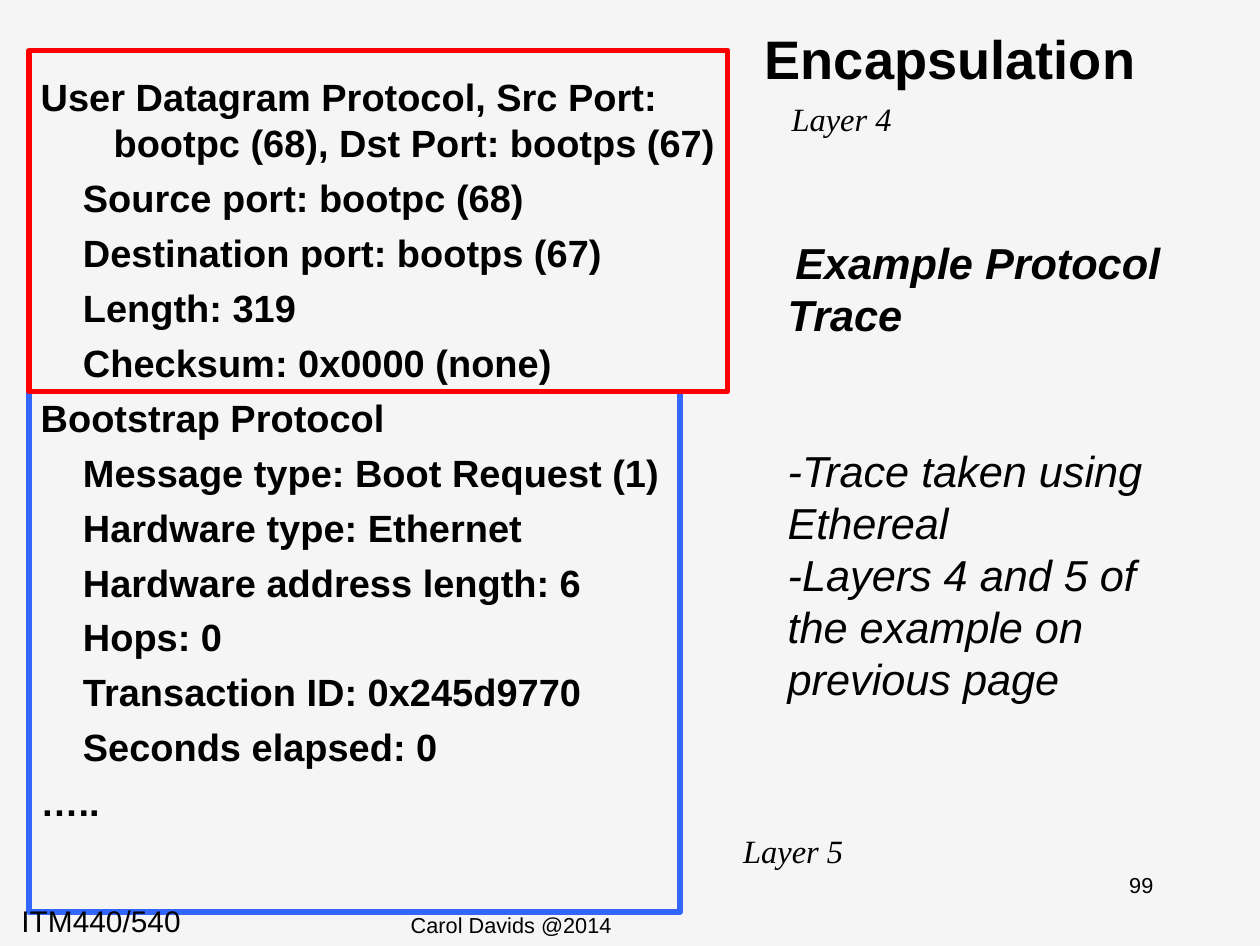
"""Build the Encapsulation slide with its UDP and bootstrap trace."""
from pptx import Presentation
from pptx.dml.color import RGBColor as RGB
from pptx.enum.shapes import MSO_SHAPE as Shape
from pptx.enum.text import MSO_ANCHOR as Anchor, MSO_AUTO_SIZE as Auto, PP_ALIGN as Align
from pptx.oxml.ns import qn
from pptx.util import Cm, Pt

HUES = {"back": "F5F5F5", "ink": "000000", "red": "FF0000", "blue": "3366FF"}
SERIF = "Times New Roman"


def fill_text(shape, place, lines, size, face="Arial", bold=False, slant=False,
              align=Align.LEFT, anchor=Anchor.MIDDLE):
    """Place a text shape and set its lines in one style."""
    shape.left, shape.top, shape.width, shape.height = map(Cm, place)
    frame = shape.text_frame
    frame.word_wrap, frame.auto_size = True, Auto.NONE
    frame.vertical_anchor = anchor
    frame.margin_left = frame.margin_right = Cm(0.15)
    frame.margin_top = frame.margin_bottom = Cm(0.08)
    frame.text = "\n".join(lines)
    for para in frame.paragraphs:
        para.alignment = align
        para.space_before = Pt(0)
        for run in para.runs:
            font = run.font
            font.name, font.size = face, Pt(size)
            font.bold, font.italic = bold, slant
            font.color.rgb = RGB.from_string(HUES["ink"])
    return frame.paragraphs


def set_indent(para, left, first):
    """Set the left margin and first-line indent in centimetres."""
    props = para._p.get_or_add_pPr()
    props.set("marL", str(Cm(left)))
    props.set("indent", str(Cm(first)))
    return props


deck = Presentation()
deck.slide_width, deck.slide_height = Cm(16.41), Cm(12.32)
slide = deck.slides.add_slide(deck.slide_layouts[1])
back = slide.background.fill
back.solid()
back.fore_color.rgb = RGB.from_string(HUES["back"])
shapes = slide.shapes

fill_text(shapes.title, (9.1, 0, 6.55, 1.5), ["Encapsulation"], 20,
          bold=True, align=Align.CENTER)

trace = [
    (0, "User Datagram Protocol, Src Port: bootpc (68), Dst Port: bootps (67)"),
    (1, "Source port: bootpc (68)"),
    (1, "Destination port: bootps (67)"),
    (1, "Length: 319"),
    (1, "Checksum: 0x0000 (none)"),
    (0, "Bootstrap Protocol"),
    (1, "Message type: Boot Request (1)"),
    (1, "Hardware type: Ethernet"),
    (1, "Hardware address length: 6"),
    (1, "Hops: 0"),
    (1, "Transaction ID: 0x245d9770"),
    (1, "Seconds elapsed: 0"),
    (0, "….."),
]
paras = fill_text(slide.placeholders[1], (0.38, 0.88, 9.3, 10.7),
                  [line for _, line in trace], 14, bold=True, anchor=Anchor.TOP)
for index, (para, (depth, _)) in enumerate(zip(paras, trace)):
    para.space_before = Pt(3.5 if index else 0)
    props = set_indent(para, 0.55, 0) if depth else set_indent(para, 0.95, -0.95)
    props.append(props.makeelement(qn("a:buNone"), {}))

for hue, place in (("blue", (0.38, 5.1, 8.48, 6.78)), ("red", (0.38, 0.66, 9.1, 4.44))):
    frame = shapes.add_shape(Shape.RECTANGLE, *map(Cm, place))
    frame.shadow.inherit = False
    frame.fill.background()
    frame.line.color.rgb = RGB.from_string(HUES[hue])
    frame.line.width = Pt(2)

notes = ["Example Protocol Trace", "-Trace taken using Ethereal",
         "-Layers 4 and 5 of the example on previous page"]
side = fill_text(shapes.add_textbox(0, 0, 0, 0), (10.11, 1.65, 5.61, 8.94),
                 notes, 16, slant=True)
side[0].runs[0].font.bold = True
set_indent(side[0], 0, 0.1)
side[1].space_before = Pt(38.4)

labels = [
    ("Layer 4", (10.16, 1.27, 1.91, 0.56), 12, SERIF, True, Align.LEFT, Anchor.MIDDLE),
    ("Layer 5", (9.53, 10.8, 1.91, 0.56), 12, SERIF, True, Align.LEFT, Anchor.MIDDLE),
    ("ITM440/540", (0.13, 11.68, 3, 0.62), 11, "Arial", False, Align.LEFT, Anchor.TOP),
    ("Carol Davids @2014", (5.2, 11.79, 4, 0.5), 8, "Arial", False, Align.LEFT, Anchor.TOP),
    ("99", (13.58, 11.27, 2.57, 0.5), 8, "Arial", False, Align.CENTER, Anchor.TOP),
]
for text, place, size, face, slant, align, anchor in labels:
    fill_text(shapes.add_textbox(0, 0, 0, 0), place, [text], size, face,
              slant=slant, align=align, anchor=anchor)

deck.save("out.pptx")
